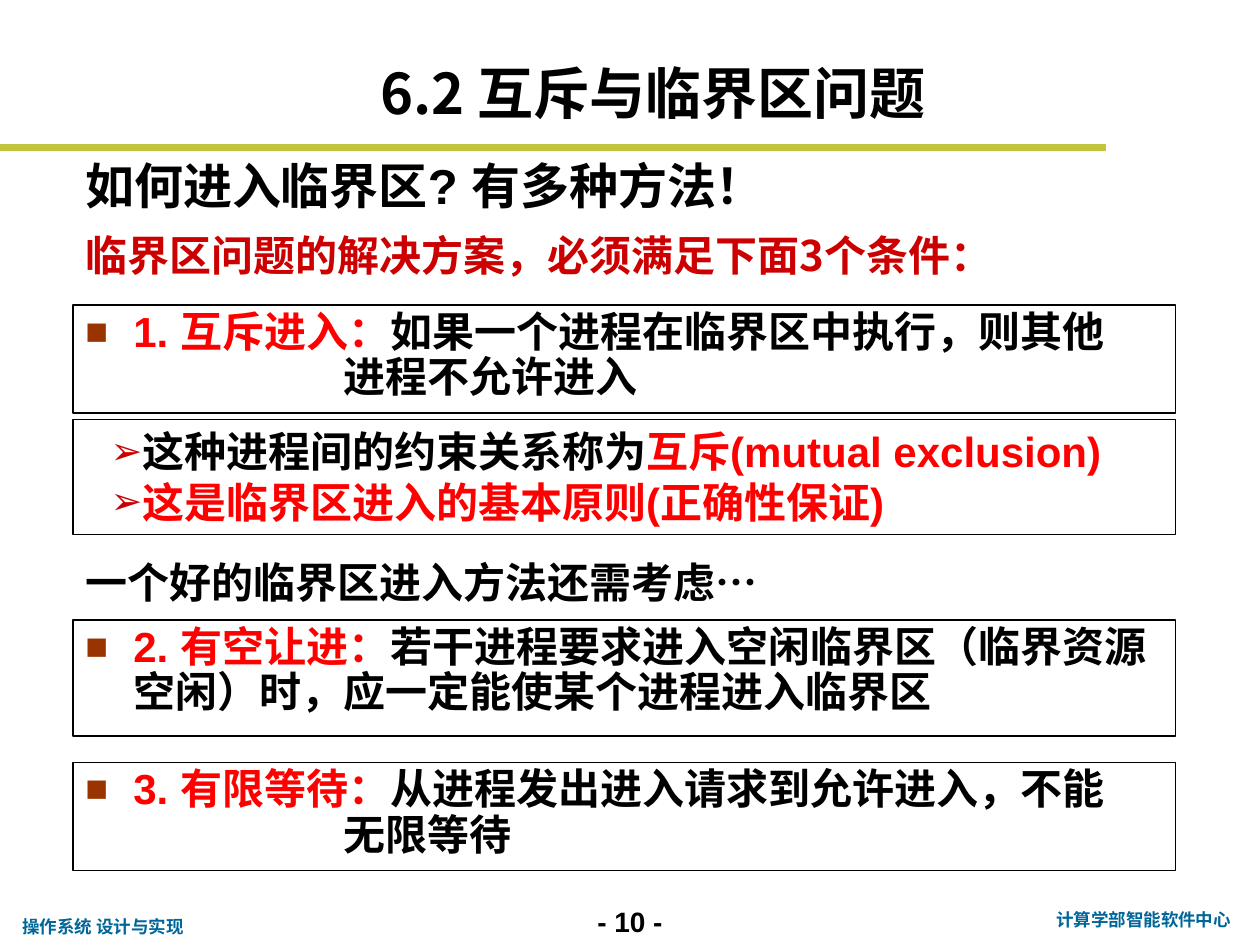
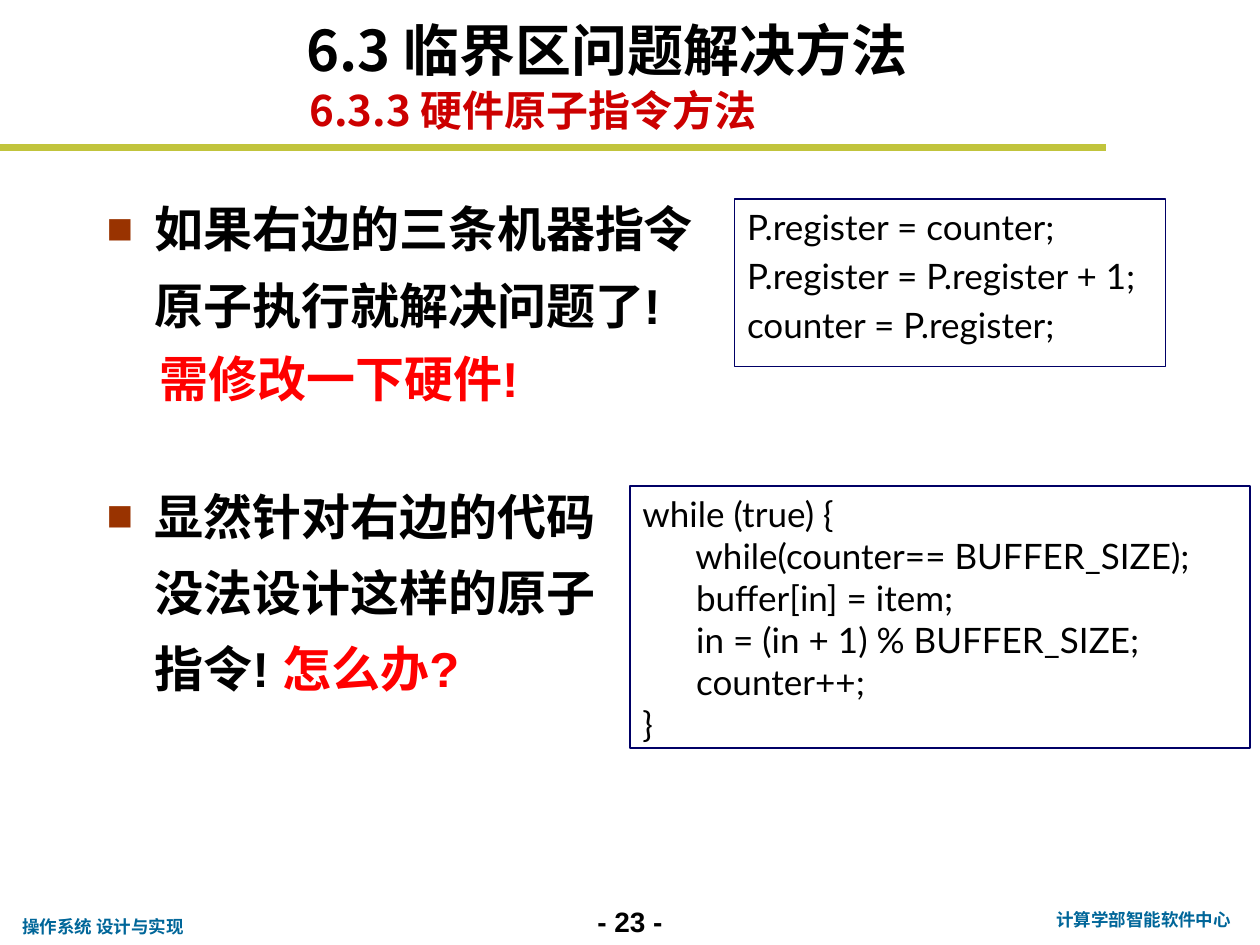
from dataclasses import dataclass

from lxml import etree
from pptx import Presentation
from pptx import util as u
from pptx.dml.color import RGBColor
from pptx.enum import shapes, text
from pptx.oxml import ns


@dataclass(frozen=True)
class Theme:
    black: str = "000000"
    white: str = "FFFFFF"
    red: str = "FF0000"
    crimson: str = "CC0000"
    rust: str = "993300"
    navy: str = "000066"
    olive: str = "C1C43C"
    teal: str = "006699"
    title: int = 32
    lead: int = 28
    body: int = 24
    code: int = 20
    page: int = 16
    footer: int = 10
    latin: str = "Arial"
    sans: str = "Lato"
    cjk: str = "Noto Sans CJK SC"
    foot_font: str = "Roboto"


@dataclass(frozen=True)
class Para:
    runs: tuple
    mark: tuple = ()
    left: float = 0
    first: float = 0
    spacing: float = 1.0
    before: float = 0
    align: str = "LEFT"


def rgb(color):
    return RGBColor.from_string(color)


def add_xml(parent, tag, **attrs):
    return etree.SubElement(parent, ns.qn(tag), attrs)


class Deck:
    def __init__(self, theme):
        self.t = theme
        self.prs = Presentation()
        self.prs.slide_width = u.Cm(25.4)
        self.prs.slide_height = u.Cm(19.05)
        self.s = None

    def run(self, words, size, color=None, font=None, ea=None, bold=True):
        font = font or self.t.latin
        ea = ea or (self.t.sans if font == self.t.latin else font)
        return words, size, color or self.t.black, font, ea, bold

    def slide(self, number):
        t = self.t
        self.s = self.prs.slides.add_slide(self.prs.slide_layouts[6])
        self.rule(2.97, 22.3)
        self.label((11.43, 18.11, 2.54, 0.94), f"- {number} -", t.page, align="CENTER")
        self.label((20.96, 18.21, 4.19, 0.69), "计算学部智能软件中心", t.footer, t.teal,
                   t.foot_font, align="CENTER")
        self.label((0.2, 18.34, 3.81, 0.69), "操作系统 设计与实现", t.footer, t.teal,
                   t.foot_font, wrap=False)

    def rule(self, y, right):
        sp = self.s.shapes.add_connector(shapes.MSO_CONNECTOR.STRAIGHT,
                                         0, u.Cm(y), u.Cm(right), u.Cm(y))
        sp.line.color.rgb = rgb(self.t.olive)
        sp.line.width = u.Pt(4)
        add_xml(sp._element.spPr, "a:effectLst")

    def label(self, box, words, size, color=None, font=None, anchor="TOP",
              wrap=True, spacing=1.0, align="LEFT"):
        para = Para((self.run(words, size, color, font),), spacing=spacing, align=align)
        self.text(box, [para], anchor, wrap)

    def heading(self, box, words):
        self.label(box, words, self.t.title, font=self.t.cjk, anchor="BOTTOM")

    def subheading(self, box, words, spacing=1.0):
        self.label(box, words, self.t.body, self.t.crimson, self.t.cjk, "MIDDLE",
                   spacing=spacing)

    def text(self, box, paras, anchor="TOP", wrap=True):
        sp = self.s.shapes.add_textbox(*map(u.Cm, box))
        self.fill(sp.text_frame, paras, anchor, wrap)

    def frame(self, box, paras, line=None, fill=None):
        sp = self.s.shapes.add_shape(shapes.MSO_SHAPE.RECTANGLE, *map(u.Cm, box))
        sp.shadow.inherit = False
        sp.line.color.rgb = rgb(line or self.t.black)
        sp.line.width = u.Pt(0.75)
        if fill:
            sp.fill.solid()
            sp.fill.fore_color.rgb = rgb(fill)
        else:
            sp.fill.background()
        self.fill(sp.text_frame, paras)

    def fill(self, tf, paras, anchor="TOP", wrap=True):
        tf.word_wrap = wrap
        tf.vertical_anchor = getattr(text.MSO_ANCHOR, anchor)
        for i, para in enumerate(paras):
            p = tf.add_paragraph() if i else tf.paragraphs[0]
            p.alignment = getattr(text.PP_ALIGN, para.align)
            p.line_spacing = para.spacing
            if i:
                p.space_before = u.Pt(para.before)
            pPr = p._p.get_or_add_pPr()
            pPr.set("marL", str(u.Cm(para.left)))
            pPr.set("indent", str(u.Cm(para.first)))
            if para.mark:
                char, color = para.mark
                add_xml(add_xml(pPr, "a:buClr"), "a:srgbClr", val=color)
                add_xml(pPr, "a:buSzPct", val="90000")
                add_xml(pPr, "a:buFont", typeface=self.t.latin)
                add_xml(pPr, "a:buChar", char=char)
            for run in para.runs:
                self.add_run(p, *run)

    def add_run(self, p, words, size, color, font, ea, bold):
        r = p.add_run()
        r.text = words
        r.font.size = u.Pt(size)
        r.font.bold = bold
        r.font.color.rgb = rgb(color)
        r.font.name = font
        add_xml(r._r.get_or_add_rPr(), "a:ea", typeface=ea)

    def square(self, *runs, spacing):
        return Para(runs, ("■", self.t.rust), 0.97, -0.97, spacing)

    def arrow(self, *runs):
        return Para(runs, ("➢", self.t.crimson), 1.02, -0.51)

    def condition(self, top, height, name, words, rest=None):
        size = self.t.body
        paras = [self.square(self.run(name, size, self.t.red), self.run(words, size),
                             spacing=0.9)]
        if rest:
            paras.append(Para((self.run(rest, size),), left=5.21, spacing=0.9))
        self.frame((1.47, top, 22.23, height), paras)

    def code(self, box, lines, before=0):
        t = self.t
        self.frame(box, [Para((self.run(line, t.code, font=t.sans, bold=False),),
                              before=before) for line in lines], t.navy, t.white)


def conditions_slide(d):
    t = d.t
    d.slide(10)
    d.heading((7.42, 1.07, 13.97, 1.6), "6.2 互斥与临界区问题")
    d.label((1.47, 3, 21.79, 1.45), "如何进入临界区? 有多种方法！", t.lead, anchor="MIDDLE")
    d.subheading((1.47, 4.45, 22.23, 1.27), "临界区问题的解决方案，必须满足下面3个条件：",
                 spacing=1.1)
    d.condition(6.15, 2.18, "1. 互斥进入：", "如果一个进程在临界区中执行，则其他", "进程不允许进入")
    d.frame((1.47, 8.46, 22.23, 2.31), [
        d.arrow(d.run("这种进程间的约束关系称为", t.body),
                d.run("互斥(mutual exclusion)", t.body, t.red)),
        d.arrow(d.run("这是临界区进入的基本原则(正确性保证)", t.body, t.red)),
    ])
    d.text((1.47, 10.8, 18.85, 1.27), [
        Para((d.run("一个好的临界区进入方法还需考虑", t.body),
              d.run("…", t.body, font=t.cjk)), spacing=1.3)])
    d.condition(12.5, 2.34, "2. 有空让进：",
                "若干进程要求进入空闲临界区（临界资源空闲）时，应一定能使某个进程进入临界区")
    d.condition(15.37, 2.18, "3. 有限等待：", "从进程发出进入请求到允许进入，不能", "无限等待")


def atomic_slide(d):
    t = d.t
    d.slide(23)
    d.heading((5.92, 0.2, 13.97, 1.6), "6.3 临界区问题解决方法")
    d.subheading((5.99, 1.68, 13.97, 1.07), "6.3.3 硬件原子指令方法")
    d.text((1.9, 3.53, 12.7, 5.16), [
        d.square(d.run("如果右边的三条机器指令原子执行就解决问题了!", t.lead), spacing=1.3)])
    d.code((14.81, 4.01, 8.69, 3.38), [
        "P.register = counter;",
        "P.register = P.register + 1;",
        "counter = P.register;",
    ], before=4)
    d.label((2.97, 6.91, 11.23, 1.45), "需修改一下硬件!", t.lead, t.red)
    d.text((1.9, 9.32, 11, 2.18), [
        d.square(d.run("显然针对右边的代码没法设计这样的原子指令! ", t.lead),
                 d.run("怎么办?", t.lead, t.red), spacing=1.3)])
    d.code((12.7, 9.8, 12.5, 5.28), [
        "while (true) {",
        "      while(counter== BUFFER_SIZE);",
        "      buffer[in] = item;",
        "      in = (in + 1) % BUFFER_SIZE;",
        "      counter++;",
        "}",
    ])


def main():
    deck = Deck(Theme())
    conditions_slide(deck)
    atomic_slide(deck)
    deck.prs.save("out.pptx")


if __name__ == "__main__":
    main()
